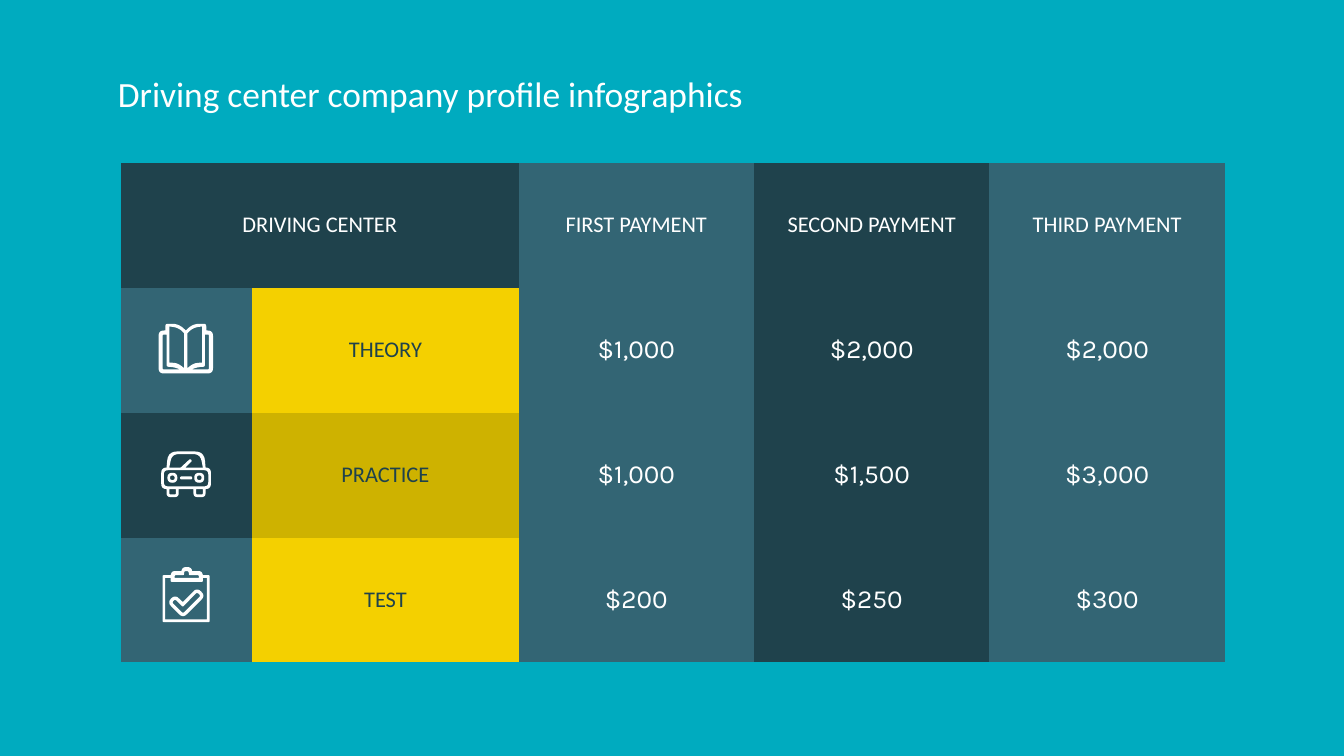
import math

import pptx
import pptx.dml.color
import pptx.enum.text
import pptx.oxml.ns
import pptx.util

Cm = pptx.util.Cm
Pt = pptx.util.Pt

WHITE, TEAL, DARK = "FFFFFF", "336574", "1F424C"
YELLOW, OCHRE, BACKGROUND = "F4D000", "CEB200", "00ABBF"
ICON_UNIT = 0.0254  # icon coordinates are hundredths of an inch, in cm
NO_STYLE_NO_GRID = "{2D5ABB26-0587-4C30-8999-92F81FD0307C}"


def color(hex_string):
    return pptx.dml.color.RGBColor.from_string(hex_string)


def draw_outline(shapes, contours):
    """Draw closed contours as one white shape; inner contours become holes.

    Each corner is (x, y, radius) and is rounded by a quadratic curve.
    """
    builder = None
    for corners in contours:
        points = []
        for index, (x, y, radius) in enumerate(corners):
            ends = []
            for near_x, near_y, _ in (corners[index - 1],
                                      corners[(index + 1) % len(corners)]):
                share = radius / math.hypot(near_x - x, near_y - y)
                ends.append((x + share * (near_x - x), y + share * (near_y - y)))
            (start_x, start_y), (end_x, end_y) = ends
            for t in (0, 0.2, 0.4, 0.6, 0.8, 1) if radius else (0,):
                a, b, c = (1 - t) ** 2, 2 * t * (1 - t), t ** 2
                points.append((Cm(ICON_UNIT * (a * start_x + b * x + c * end_x)),
                               Cm(ICON_UNIT * (a * start_y + b * y + c * end_y))))
        if builder is None:
            builder = shapes.build_freeform(*points[0], scale=1.0)
        else:
            builder.move_to(*points[0])
        builder.add_line_segments(points[1:], close=True)
    shape = builder.convert_to_shape()
    shape.shadow.inherit = False
    shape.fill.solid()
    shape.fill.fore_color.rgb = color(WHITE)
    shape.line.fill.background()


presentation = pptx.Presentation()
presentation.slide_width = Cm(25.4)
presentation.slide_height = Cm(14.29)
slide = presentation.slides.add_slide(presentation.slide_layouts[6])
slide.background.fill.solid()
slide.background.fill.fore_color.rgb = color(BACKGROUND)

# Title
title = slide.shapes.add_textbox(Cm(1.98), Cm(1.12), Cm(21.44), Cm(1.6))
title_format = {"word_wrap": True, "margin_left": Cm(0.25), "margin_right": Cm(0.25),
                "margin_top": Cm(0.25), "margin_bottom": Cm(0.25)}
for name, value in title_format.items():
    setattr(title.text_frame, name, value)
paragraph = title.text_frame.paragraphs[0]
paragraph.text = "Driving center company profile infographics"
paragraph.font.name = "Calibri"
paragraph.font.size = Pt(19)
paragraph.font.color.rgb = color(WHITE)

# Payment table
rows = [
    ["DRIVING CENTER", "", "FIRST PAYMENT", "SECOND PAYMENT", "THIRD PAYMENT"],
    ["", "THEORY", "$1,000", "$2,000", "$2,000"],
    ["", "PRACTICE", "$1,000", "$1,500", "$3,000"],
    ["", "TEST", "$200", "$250", "$300"],
]
column_widths = [2.48, 5.03, 4.45, 4.45, 4.45]
row_height = 2.36
table = slide.shapes.add_table(
    len(rows), len(column_widths), Cm(2.29), Cm(3.08),
    Cm(sum(column_widths)), Cm(row_height * len(rows))).table
table.first_row = False
table.horz_banding = False
table._tbl.tblPr.find(pptx.oxml.ns.qn("a:tableStyleId")).text = NO_STYLE_NO_GRID
for column, width in zip(table.columns, column_widths):
    column.width = Cm(width)
for row in table.rows:
    row.height = Cm(row_height)

cell_format = {"margin_left": Cm(0.25), "margin_right": Cm(0.25),
               "margin_top": Cm(0.25), "margin_bottom": Cm(0.25),
               "vertical_anchor": pptx.enum.text.MSO_ANCHOR.MIDDLE}
for row_index, texts in enumerate(rows):
    for column_index, text in enumerate(texts):
        is_header = row_index == 0
        is_service = column_index == 1 and not is_header
        is_price = column_index > 1 and not is_header
        if is_service:
            fill = YELLOW if row_index % 2 else OCHRE
        elif column_index > 1:
            fill = DARK if column_index == 3 else TEAL
        else:
            fill = TEAL if row_index % 2 else DARK
        cell = table.cell(row_index, column_index)
        for name, value in cell_format.items():
            setattr(cell, name, value)
        cell.fill.solid()
        cell.fill.fore_color.rgb = color(fill)
        paragraph = cell.text_frame.paragraphs[0]
        paragraph.alignment = pptx.enum.text.PP_ALIGN.CENTER
        if text:
            paragraph.text = text
            paragraph.font.name = "Karla" if is_price else "Calibri"
            paragraph.font.size = Pt(14 if is_price else 12)
            paragraph.font.color.rgb = color(DARK if is_service else WHITE)
table.cell(0, 0).merge(table.cell(0, 1))

# Car icon
car_body = [
    [(125, 336, 7), (152, 336, 7), (153, 348, 0), (157, 348, 4), (157, 364, 4),
     (153, 364, 0), (153, 370, 3), (144, 370, 3), (144, 364, 0), (133, 364, 0),
     (133, 370, 3), (124, 370, 3), (124, 364, 0), (120, 364, 4), (120, 348, 4),
     (124, 348, 0)],
    [(128, 338, 5), (149, 338, 5), (151, 348, 0), (138, 348, 0), (143, 343, 1),
     (141.5, 341.5, 1), (134.5, 348, 0), (126, 348, 0)],
    [(122, 350, 3), (155, 350, 3), (155, 362, 3), (122, 362, 3)],
]
headlights = []
for shift in (0, 20):
    car_body.append([(126 + shift, 364, 0), (131 + shift, 364, 0),
                     (131 + shift, 368, 1), (126 + shift, 368, 1)])
    middle_x, middle_y = 128.3 + shift, 355.6
    headlights.append([
        [(middle_x - r, middle_y - r, r), (middle_x + r, middle_y - r, r),
         (middle_x + r, middle_y + r, r), (middle_x - r, middle_y + r, r)]
        for r in (3.7, 1.7)])
grille = [[(134, 354.6, 1), (143, 354.6, 1), (143, 356.8, 1), (134, 356.8, 1)]]

# Book icon: the right half mirrors the left half
book_left = [(138.25, 246, 0), (133, 241, 5), (123, 241, 2), (123, 246, 0),
             (118, 246, 4), (118, 278, 4)]
page = [(126, 243, 0), (133, 244, 4), (137, 248, 0), (137, 274, 0),
        (132, 270, 4), (126, 270, 0)]
cover = [(124, 249, 0), (124, 273, 1.5), (129, 273, 4), (134, 275, 0),
         (121, 275, 1), (121, 249, 1)]
book_right, right_page, right_cover = (
    [(276.5 - x, y, radius) for x, y, radius in part]
    for part in (book_left, page, cover))
book = [book_left + book_right[:0:-1], page, right_page, cover, right_cover]

# Clipboard icon
check_mark = [
    [(130.3, 442.5, 4), (136, 448.2, 1), (146.7, 437.3, 4), (152.8, 443.4, 4),
     (136.2, 460, 4), (124.5, 448.3, 4)],
    [(130.3, 446, 1.5), (136, 451.7, 1), (146.7, 440.8, 1.5), (149.3, 443.4, 1.5),
     (136.2, 456.5, 1.5), (128, 448.3, 1.5)],
]
clipboard = [
    [(121, 428, 1), (127, 428, 0), (128, 425, 2), (135, 425, 0), (135.5, 422, 3),
     (142.5, 422, 3), (143, 425, 0), (150, 425, 2), (151, 428, 0), (156, 428, 1),
     (156, 463, 1), (121, 463, 1)],
    [(123, 430, 0), (127, 430, 0), (127, 433, 1), (151, 433, 1), (151, 430, 0),
     (154, 430, 0), (154, 461, 0), (123, 461, 0)],
    [(130, 430, 0), (130, 428, 1), (137, 428, 1), (137, 425, 1.5), (140.5, 425, 1.5),
     (140.5, 428, 1), (148, 428, 1), (148, 430, 0)],
]

for icon in ([car_body, *headlights, grille], [book], [check_mark, clipboard]):
    shapes = slide.shapes.add_group_shape().shapes if len(icon) > 1 else slide.shapes
    for contours in icon:
        draw_outline(shapes, contours)

presentation.save("out.pptx")
